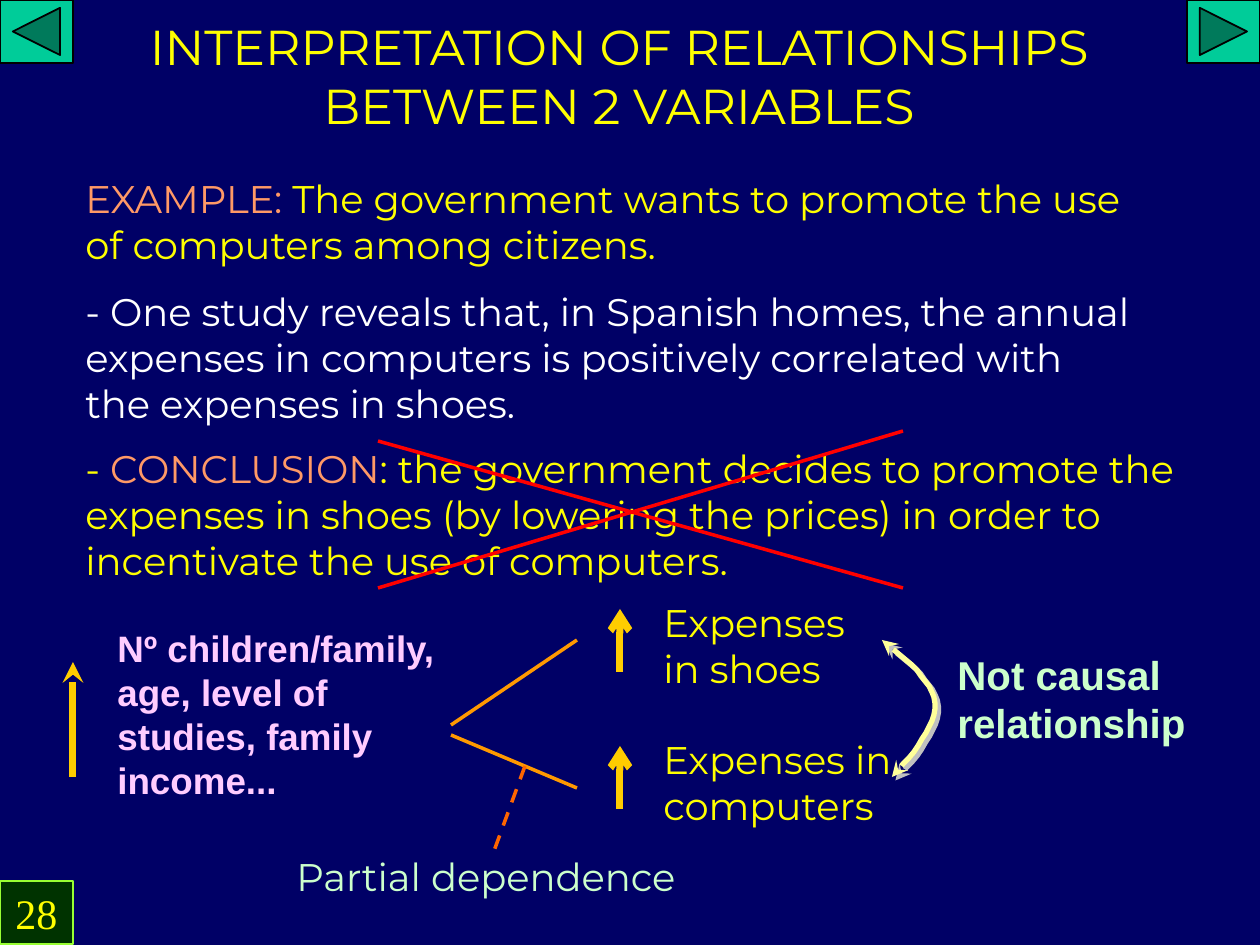
import lxml.etree
import pptx
import pptx.dml.color
import pptx.enum.dml
import pptx.enum.shapes
import pptx.enum.text
import pptx.oxml.ns
import pptx.util

RGBColor = pptx.dml.color.RGBColor
NAVY = RGBColor(0x00, 0x00, 0x66)
TEAL = RGBColor(0x00, 0xCC, 0x99)
BLACK = RGBColor(0x00, 0x00, 0x00)
WHITE = RGBColor(0xFF, 0xFF, 0xFF)
YELLOW = RGBColor(0xFF, 0xFF, 0x00)
SALMON = RGBColor(0xFF, 0x99, 0x66)
PINK = RGBColor(0xFF, 0xCC, 0xFF)
GOLD = RGBColor(0xFF, 0xCC, 0x00)
CREAM = RGBColor(0xFF, 0xFF, 0x99)
MINT = RGBColor(0xCC, 0xFF, 0xCC)
ORANGE = RGBColor(0xFF, 0x99, 0x00)
EMBER = RGBColor(0xFF, 0x66, 0x00)
RED = RGBColor(0xFF, 0x00, 0x00)
GREEN = RGBColor(0x00, 0x33, 0x00)
LIME = RGBColor(0x99, 0xFF, 0x33)
GRAY = RGBColor(0xC0, 0xC0, 0xC0)

SCALE = 914400 / 126
SHAPE = pptx.enum.shapes.MSO_SHAPE
ANCHOR = pptx.enum.text.MSO_ANCHOR
ALIGN = pptx.enum.text.PP_ALIGN
BODY = "Montserrat"


def emu(*sizes):
    """Turn px lengths into EMU."""
    return [round(size * SCALE) for size in sizes]


def add_child(parent, name, **attrs):
    """Append a drawing element to its parent."""
    child = lxml.etree.SubElement(parent, pptx.oxml.ns.qn(name))
    for key, value in attrs.items():
        child.set(key, str(value))
    return child


def add_shadow(effects):
    """Add a short gray shadow to an effect list."""
    shadow = add_child(effects, "a:outerShdw", blurRad=0, dist=35560, dir=2700000)
    add_child(shadow, "a:srgbClr", val=GRAY)


def write(shape, runs, size, face=BODY, bold=False, anchor=ANCHOR.MIDDLE, align=ALIGN.LEFT):
    """Fill a shape with one paragraph of coloured runs."""
    frame = shape.text_frame
    frame.word_wrap = True
    frame.auto_size = pptx.enum.text.MSO_AUTO_SIZE.NONE
    frame.vertical_anchor = anchor
    para = frame.paragraphs[0]
    para.alignment = align
    para.font.size = pptx.util.Pt(size)
    para.font.name = face
    para.font.bold = bold
    if len(runs) == 1:
        para.font.color.rgb = runs[0][1]
    for text, color in runs:
        run = para.add_run()
        run.text = text
        if len(runs) > 1:
            run.font.color.rgb = color


def add_text(slide, box, runs, size=22, **style):
    """Add a text box at a px box."""
    write(slide.shapes.add_textbox(*emu(*box)), runs, size, **style)


def add_line(slide, start, end, color, width=2, head=None, dash=None):
    """Add a straight line with an optional arrowhead at its end."""
    kind = pptx.enum.shapes.MSO_CONNECTOR.STRAIGHT
    line = slide.shapes.add_connector(kind, *emu(*start, *end))
    line.line.color.rgb = color
    line.line.width = pptx.util.Pt(width)
    if dash:
        line.line.dash_style = dash
    if head:
        add_child(line.line._get_or_add_ln(), "a:tailEnd", type=head)
    add_child(line._element.spPr, "a:effectLst")


def add_block(slide, box, kind, fill, edge, width):
    """Add a filled preset shape with an outline."""
    shape = slide.shapes.add_shape(kind, *emu(*box))
    shape.shadow.inherit = False
    shape.fill.solid()
    shape.fill.fore_color.rgb = fill
    shape.line.color.rgb = edge
    shape.line.width = pptx.util.Pt(width)
    return shape


def add_title(slide, box):
    """Place the shadowed heading in the title placeholder."""
    title = slide.shapes.title
    title.left, title.top, title.width, title.height = emu(*box)
    text = "INTERPRETATION OF RELATIONSHIPS BETWEEN 2 VARIABLES"
    write(title, [(text, YELLOW)], 28, anchor=ANCHOR.TOP, align=ALIGN.CENTER)
    props = title.text_frame.paragraphs[0].runs[0]._r.get_or_add_rPr()
    add_shadow(add_child(props, "a:effectLst"))


def add_story(slide, box):
    """Place the example, the study and the conclusion."""
    left, top, width, height = box
    parts = [
        (0, width - 84, [
            ("EXAMPLE:", SALMON),
            (" The government wants to promote the use of computers among citizens.", YELLOW)]),
        (136, width - 84, [
            ("- One study reveals that, in Spanish homes, the annual expenses in computers "
             "is positively correlated with the expenses in shoes.", WHITE)]),
        (height - 126, width, [
            ("- ", YELLOW), ("CONCLUSION", SALMON),
            (": the government decides to promote the expenses in shoes (by lowering the "
             "prices) in order to incentivate the use of computers.", YELLOW)]),
    ]
    for drop, span, runs in parts:
        add_text(slide, (left, top + drop, span, 126), runs)


def add_cross(slide, box):
    """Strike out the conclusion with two red lines."""
    left, top, width, height = box
    right, base = left + width, top + height
    add_line(slide, (left, base), (right, top), RED)
    add_line(slide, (left, top + 10), (right, base), RED)


def add_cause(slide, box):
    """Place the common causes with their rising arrow."""
    left, top, width, height = box
    add_text(slide, (left + 32, top, width - 32, height),
             [("Nº children/family, age, level of studies, family income...", PINK)],
             size=21, face="Arial", bold=True)
    add_line(slide, (left, top + height), (left, top + 11), GOLD, 4, "stealth")


def add_effect(slide, box, text, rise, branch):
    """Place one effect, its rising arrow and its branch from the causes."""
    left, top, width, height = box
    add_text(slide, (left + 200, top, width - 200, height), [(text, YELLOW)])
    add_line(slide, (left + 169, top + rise), (left + 169, top), GOLD, 4, "arrow")
    start, end = branch
    add_line(slide, (left, top + start), (left + 126, top + end), ORANGE)


def bezier(curve, steps=12):
    """List the points of a cubic curve after its start."""
    points = []
    for step in range(1, steps + 1):
        t = step / steps
        parts = ((1 - t) ** 3, 3 * t * (1 - t) ** 2, 3 * t * t * (1 - t), t ** 3)
        points.append(tuple(sum(p * q for p, q in zip(parts, axis)) for axis in zip(*curve)))
    return points


def add_link(slide, box):
    """Place the curved double arrow and its label."""
    left, top, width, height = box
    marks = [(0, 0), (25, 20), (50, 40), (53, 63), (54, 86), (33, 112), (10, height)]
    marks = [(left + x, top + y) for x, y in marks]
    path = slide.shapes.build_freeform(*marks[0], scale=SCALE)
    path.add_line_segments(bezier(marks[:4]) + bezier(marks[3:]), close=False)
    arc = path.convert_to_shape()
    arc.fill.background()
    arc.line.color.rgb = CREAM
    arc.line.width = pptx.util.Pt(3)
    for end in ("a:headEnd", "a:tailEnd"):
        add_child(arc.line._get_or_add_ln(), end, type="stealth")
    arc.shadow.inherit = False
    add_shadow(arc._element.spPr.find(pptx.oxml.ns.qn("a:effectLst")))
    add_text(slide, (left + 63, top + 22, width - 63, 73),
             [("Not causal relationship", MINT)], size=23, face="Arial", bold=True)


def add_note(slide, box):
    """Place the partial dependence label and its dashed pointer."""
    left, top, width, height = box
    add_text(slide, (left, top + height - 73, width, 73), [("Partial dependence", MINT)])
    add_line(slide, (left + 241, top), (left + 210, top + 85), EMBER,
             dash=pptx.enum.dml.MSO_LINE.DASH)


def add_page(slide, box):
    """Place the page number block."""
    block = add_block(slide, box, SHAPE.RECTANGLE, GREEN, LIME, 0.75)
    write(block, [("28", YELLOW)], 24, face="Times New Roman",
          anchor=ANCHOR.TOP, align=ALIGN.CENTER)


def main():
    """Build and save the slide."""
    deck = pptx.Presentation()
    deck.slide_width, deck.slide_height = emu(1260, 945)
    slide = deck.slides.add_slide(deck.slide_layouts[5])
    slide.background.fill.solid()
    slide.background.fill.fore_color.rgb = NAVY
    add_block(slide, (1187, 0, 73, 63), SHAPE.ACTION_BUTTON_FORWARD_OR_NEXT, TEAL, BLACK, 1)
    add_block(slide, (0, 0, 73, 63), SHAPE.ACTION_BUTTON_BACK_OR_PREVIOUS, TEAL, BLACK, 1)
    add_title(slide, (73, 10, 1092, 131))
    add_story(slide, (73, 158, 1155, 419))
    add_cause(slide, (73, 651, 400, 126))
    add_link(slide, (882, 640, 325, 137))
    add_effect(slide, (451, 609, 431, 73), "Expenses in shoes", 63, (116, 31))
    add_effect(slide, (451, 746, 494, 73), "Expenses in computers", 63, (-11, 42))
    add_note(slide, (284, 766, 473, 147))
    add_cross(slide, (378, 431, 525, 157))
    add_page(slide, (0, 881, 73, 63))
    deck.save("out.pptx")


if __name__ == "__main__":
    main()
